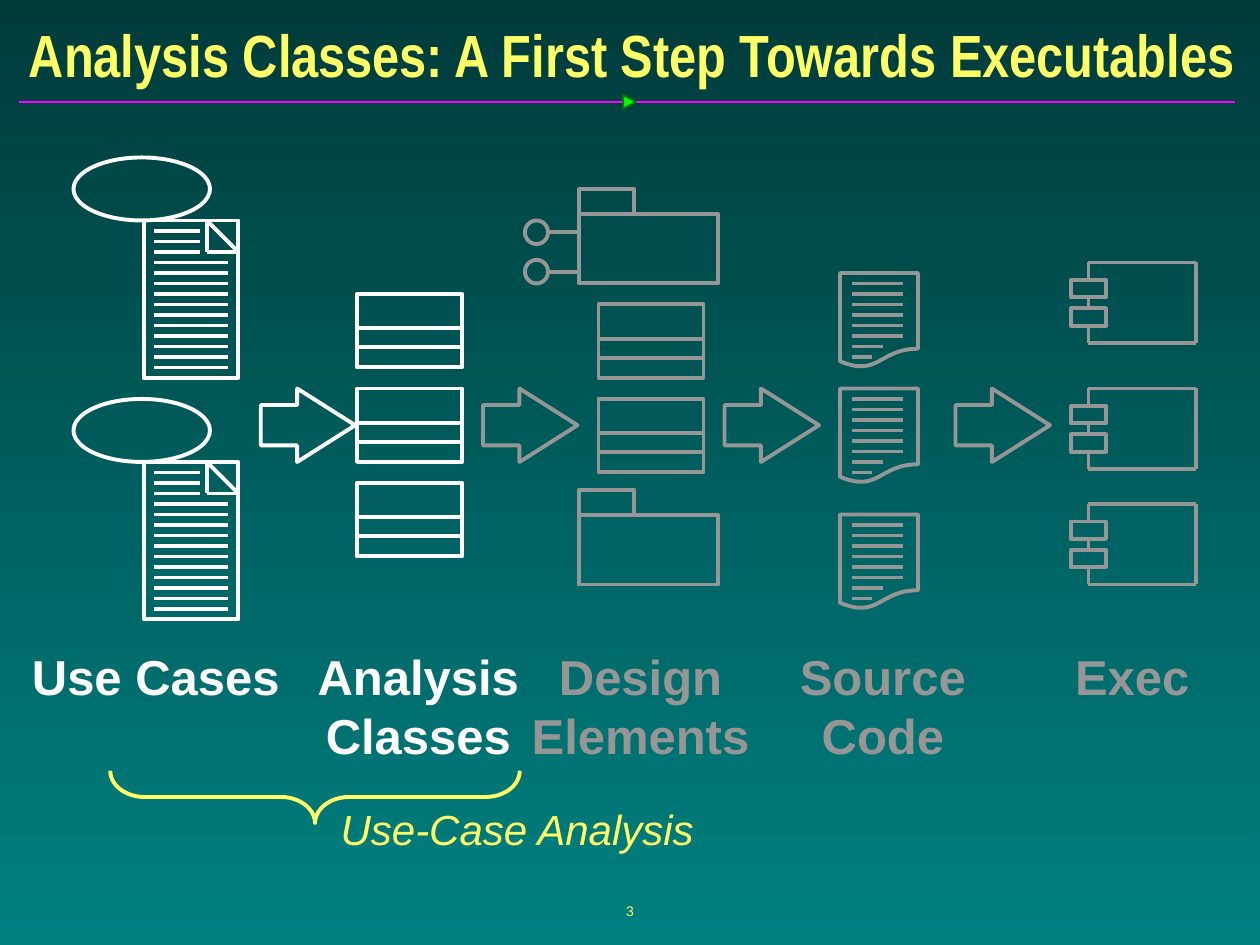
"""Draw the slide that leads from use cases through analysis classes to executables."""
from dataclasses import dataclass, field
from typing import Any, NamedTuple

from lxml import etree
from pptx import Presentation
from pptx.dml.color import RGBColor
from pptx.enum.shapes import MSO_CONNECTOR, MSO_SHAPE
from pptx.enum.text import MSO_ANCHOR, MSO_AUTO_SIZE, PP_ALIGN
from pptx.oxml.ns import qn
from pptx.util import Pt

RECT, OVAL, ARROW = MSO_SHAPE.RECTANGLE, MSO_SHAPE.OVAL, MSO_SHAPE.RIGHT_ARROW
PAGE, BRACE = MSO_SHAPE.FLOWCHART_DOCUMENT, MSO_SHAPE.LEFT_BRACE
WEDGE, STRAIGHT = MSO_SHAPE.ISOSCELES_TRIANGLE, MSO_CONNECTOR.STRAIGHT
CENTER, LEFT = PP_ALIGN.CENTER, PP_ALIGN.LEFT
TOP, MIDDLE = MSO_ANCHOR.TOP, MSO_ANCHOR.MIDDLE
GROW, FIXED = MSO_AUTO_SIZE.SHAPE_TO_FIT_TEXT, MSO_AUTO_SIZE.NONE
NORTH, SOUTH = 0, 2


@dataclass(frozen=True)
class Theme:
    white: str = "FFFFFF"
    gray: str = "969696"
    yellow: str = "FFFF66"
    rule: str = "FF01FF"
    mark: str = "00FF00"
    edge: str = "037C03"
    stops: tuple = ("003B3B", "008080")
    pen: float = 2.25
    thin: float = 1
    title: dict = field(default_factory=lambda: {"name": "Arial Narrow", "size": Pt(34), "bold": True})
    label: dict = field(default_factory=lambda: {"name": "Arial", "size": Pt(28), "bold": True})
    note: dict = field(default_factory=lambda: {"name": "Arial", "size": Pt(24), "italic": True})
    number: dict = field(default_factory=lambda: {"name": "Arial", "size": Pt(8)})


class Box(NamedTuple):
    x: float
    y: float
    w: float
    h: float


class Label(NamedTuple):
    text: str
    box: Box
    color: str
    font: dict
    align: Any = CENTER
    anchor: Any = TOP
    size: Any = GROW
    wrap: bool = False
    inset: tuple = (7.2, 3.6)


class Icon(NamedTuple):
    draw: Any
    x: float
    tops: tuple
    color: str


THEME = Theme()


def shape(to: Any, kind: Any, box: Box, color: str, pen: float = THEME.pen) -> Any:
    item = to.add_shape(kind, *map(Pt, box))
    item.shadow.inherit = False
    item.fill.background()
    item.line.color.rgb = RGBColor.from_string(color)
    item.line.width = Pt(pen)
    return item


def line(to: Any, x1: float, y1: float, x2: float, y2: float, color: str, pen: float = THEME.pen) -> Any:
    item = to.add_connector(STRAIGHT, *map(Pt, (x1, y1, x2, y2)))
    item.line.color.rgb = RGBColor.from_string(color)
    item.line.width = Pt(pen)
    etree.SubElement(item._element.spPr, qn("a:effectLst"))
    return item


def write(to: Any, label: Label) -> None:
    frame = to.add_textbox(*map(Pt, label.box)).text_frame
    side, edge = map(Pt, label.inset)
    look = {"margin_left": side, "margin_right": side, "margin_top": edge, "margin_bottom": edge,
            "word_wrap": label.wrap, "vertical_anchor": label.anchor, "auto_size": label.size,
            "text": label.text}
    for name, value in look.items():
        setattr(frame, name, value)
    for part in frame.paragraphs:
        part.alignment = label.align
        for run in part.runs:
            for name, value in label.font.items():
                setattr(run.font, name, value)
            run.font.color.rgb = RGBColor.from_string(label.color)


def use_case(to: Any, x: float, y: float, color: str) -> None:
    left, top, fold = x + 40.2, y + 36, 18
    right = left + 54
    shape(to, OVAL, Box(x, y, 78, 36), color)
    shape(to, RECT, Box(left, top, 54, 90), color)
    line(to, right - fold, top, right, top + fold, color)
    line(to, right - fold, top, right - fold, top + fold, color)
    line(to, right, top + fold, right - fold, top + fold, color)
    for row in range(1, 15):
        wide = 26 if row <= 3 else 42
        line(to, left + 6, top + 6 * row, left + 6 + wide, top + 6 * row, color)


def class_box(to: Any, x: float, y: float, color: str) -> None:
    shape(to, RECT, Box(x, y, 60, 42), color)
    for drop in (19.6, 30.4):
        line(to, x, y + drop, x + 60, y + drop, color)


def package(to: Any, x: float, y: float, color: str) -> None:
    shape(to, RECT, Box(x, y + 14.4, 79.5, 39.6), color)
    shape(to, RECT, Box(x, y, 31.6, 14.4), color)


def port_package(to: Any, x: float, y: float, color: str) -> None:
    package(to, x, y, color)
    for drop in (18, 40.5):
        mid = y + drop + 6.75
        shape(to, OVAL, Box(x - 30.8, y + drop, 13.2, 13.5), color)
        line(to, x - 17.6, mid, x, mid, color)


def source(to: Any, x: float, y: float, color: str) -> None:
    shape(to, PAGE, Box(x, y, 44.6, 54), color)
    for row, wide in enumerate([29.5] * 6 + [18, 11.5], 1):
        line(to, x + 6.7, y + 6 * row, x + 6.7 + wide, y + 6 * row, color)


def program(to: Any, x: float, y: float, color: str) -> None:
    left, right, base = x + 10, x + 71.2, y + 46
    line(to, right, y, right, base, color)
    for edge in (y, base):
        line(to, right, edge, left, edge, color)
    upper, lower = (shape(to, RECT, Box(x, y + drop, 20, 10), color) for drop in (10, 26.2))
    line(to, left, y, left, y + 10, color).end_connect(upper, NORTH)
    line(to, left, base, left, y + 36.2, color).end_connect(lower, SOUTH)
    link = line(to, left, y + 26.2, left, y + 20, color)
    link.begin_connect(lower, NORTH)
    link.end_connect(upper, SOUTH)


def arrow(to: Any, x: float, color: str) -> None:
    item = shape(to, ARROW, Box(x, 222, 54, 42), color)
    item.adjustments[0], item.adjustments[1] = 0.55, 0.79


def header(to: Any) -> None:
    line(to, 10.6, 58.1, 706, 58.1, THEME.rule, THEME.thin)
    mark = shape(to, WEDGE, Box(355.8, 54.6, 7.8, 7.2), THEME.edge, THEME.thin)
    mark.rotation = 90
    mark.fill.solid()
    mark.fill.fore_color.rgb = RGBColor.from_string(THEME.mark)


ICONS = (
    Icon(use_case, 42, (90, 228), THEME.white),
    Icon(class_box, 204, (168, 222, 276), THEME.white),
    Icon(port_package, 330.8, (108,), THEME.gray),
    Icon(class_box, 342, (174, 228), THEME.gray),
    Icon(package, 330.8, (280,), THEME.gray),
    Icon(source, 480, (156, 222, 294), THEME.gray),
    Icon(program, 612, (150, 222, 288), THEME.gray),
)
ARROWS = ((149, THEME.white), (276, THEME.gray), (414, THEME.gray), (546, THEME.gray))
LABELS = (
    Label("Analysis Classes: A First Step Towards Executables", Box(7, 9.6, 708.5, 42),
          THEME.yellow, THEME.title, anchor=MIDDLE, size=FIXED, wrap=True),
    Label("Use Cases", Box(9, 366, 160, 41), THEME.white, THEME.label),
    Label("Analysis\vClasses", Box(172, 366, 134, 75), THEME.white, THEME.label),
    Label("Design\vElements", Box(294, 366, 144, 75), THEME.gray, THEME.label),
    Label("Source\nCode", Box(447.5, 366, 114, 75), THEME.gray, THEME.label),
    Label("Exec", Box(605, 366, 84, 41), THEME.gray, THEME.label),
    Label("Use-Case Analysis", Box(186, 455, 234, 37.5), THEME.yellow, THEME.note,
          align=LEFT, wrap=True, inset=(8.6, 4.3)),
    Label("3", Box(246, 502.5, 228, 36), THEME.yellow, THEME.number, anchor=MIDDLE, size=FIXED),
)


def main() -> None:
    deck = Presentation()
    deck.slide_width, deck.slide_height = Pt(720), Pt(540)
    slide = deck.slides.add_slide(deck.slide_layouts[6])
    fill = slide.background.fill
    fill.gradient()
    fill.gradient_angle = 270
    for stop, color in zip(fill.gradient_stops, THEME.stops):
        stop.color.rgb = RGBColor.from_string(color)
    header(slide.shapes.add_group_shape().shapes)
    for icon in ICONS:
        for top in icon.tops:
            icon.draw(slide.shapes.add_group_shape().shapes, icon.x, top, icon.color)
    for x, color in ARROWS:
        arrow(slide.shapes, x, color)
    brace = shape(slide.shapes, BRACE, Box(165, 338.4, 30, 234), THEME.yellow)
    brace.rotation = 270
    brace.adjustments[0] = 0.65
    for label in LABELS:
        write(slide.shapes, label)
    deck.save("out.pptx")


if __name__ == "__main__":
    main()
